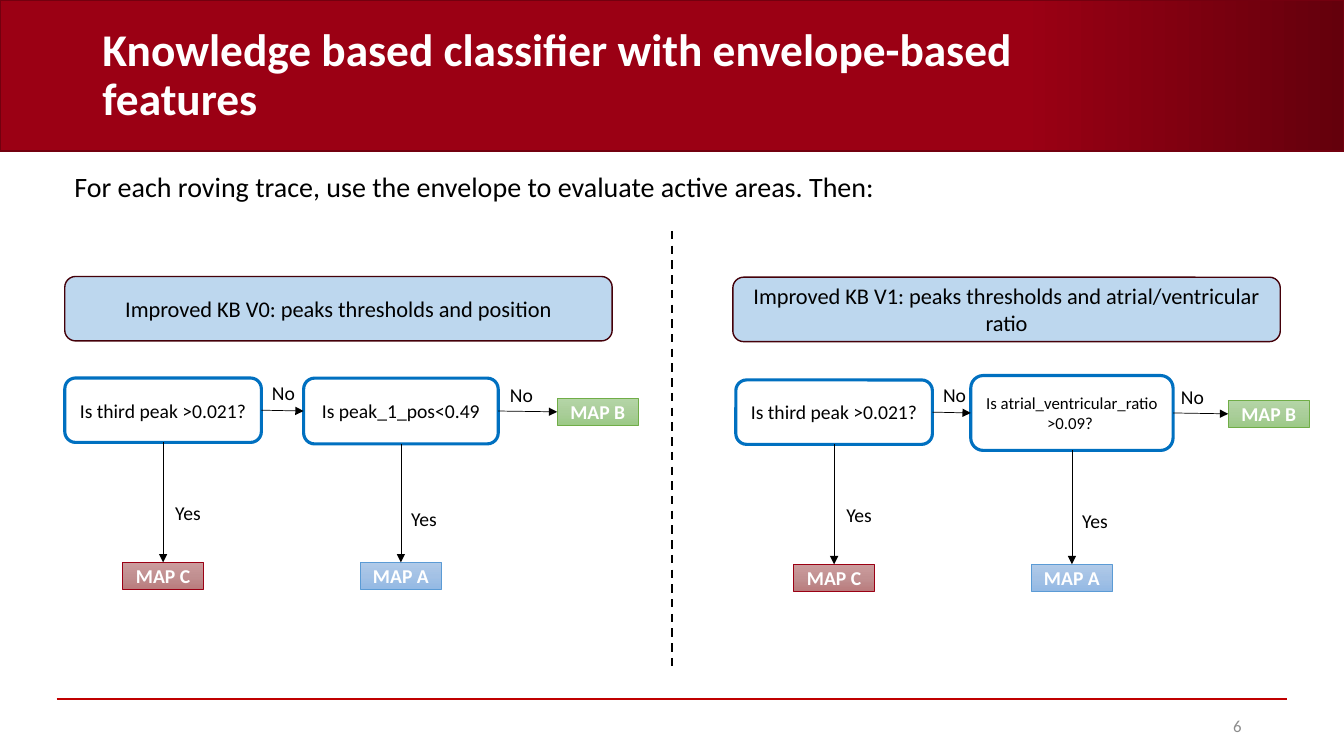
import pptx
import pptx.dml.color
import pptx.enum.dml
import pptx.enum.shapes
import pptx.enum.text
import pptx.oxml
import pptx.oxml.ns
import pptx.util
from lxml import etree

Pt = pptx.util.Pt
SHAPES = pptx.enum.shapes.MSO_SHAPE
ALIGN = pptx.enum.text.PP_ALIGN
ANCHOR = pptx.enum.text.MSO_ANCHOR
TOP, LEFT, BOTTOM, RIGHT = range(4)

COLORS = {
    "black": "000000", "white": "FFFFFF", "page number": "8C8C8C",
    "banner": "9B0014", "banner end": "64000C", "banner edge": "73000F",
    "footer rule": "C00000", "question": "0070C0",
    "heading": "BDD7EE", "heading edge": "440009",
}
# Gradient from top to bottom, then the edge colour
MAPS = {
    "MAP A": (("B1CBE9", "A3C1E5", "93B9E4"), "5B9BD5"),
    "MAP B": (("B5D5A7", "AACE9A", "9CC987"), "70AD47"),
    "MAP C": (("CC9D9E", "C19091", "B97C7D"), "9B0014"),
}
MAP_WIDTH, MAP_HEIGHT = 58, 19.4
FLOW_SHIFT = (479.3, 1.4)


def rgb(color):
    return pptx.dml.color.RGBColor.from_string(color)


def set_line(line, color, width):
    line.color.rgb = rgb(color)
    line.width = Pt(width)


def set_gradient(shape, stops, angle):
    """Fill with (percent, colour) stops; the angle is clockwise in degrees."""
    ns = pptx.oxml.ns.nsdecls("a")
    marks = "".join(
        f'<a:gs pos="{percent * 1000}"><a:srgbClr val="{color}"/></a:gs>'
        for percent, color in stops)
    gradient = pptx.oxml.parse_xml(
        f'<a:gradFill {ns} rotWithShape="1"><a:gsLst>{marks}</a:gsLst>'
        f'<a:lin ang="{angle * 60000}" scaled="0"/></a:gradFill>')
    outline = shape._element.spPr.find(pptx.oxml.ns.qn("a:prstGeom"))
    outline.addnext(gradient)


def write(frame, text, size, color="black", bold=False, align=ALIGN.LEFT,
          anchor=ANCHOR.TOP, spacing=None):
    frame.word_wrap = True
    frame.vertical_anchor = anchor
    paragraph = frame.paragraphs[0]
    paragraph.alignment = align
    paragraph.line_spacing = spacing
    run = paragraph.add_run()
    run.text = text
    run.font.name = "Calibri"
    run.font.size = Pt(size)
    run.font.bold = bold
    run.font.color.rgb = rgb(COLORS[color])


def add_text(slide, text, box, size, **style):
    label = slide.shapes.add_textbox(*map(Pt, box))
    write(label.text_frame, text, size, **style)


def add_box(slide, preset, box, edge, edge_width):
    shape = slide.shapes.add_shape(preset, *map(Pt, box))
    shape.shadow.inherit = False
    set_line(shape.line, edge, edge_width)
    return shape


def add_line(slide, start, end, color, width):
    line = slide.shapes.add_connector(
        pptx.enum.shapes.MSO_CONNECTOR.STRAIGHT, *map(Pt, start + end))
    set_line(line.line, COLORS[color], width)
    etree.SubElement(line._element.spPr, pptx.oxml.ns.qn("a:effectLst"))
    return line


def add_arrow(slide, source, source_side, target, target_side):
    arrow = add_line(slide, (0, 0), (0, 0), "black", 0.5)
    arrow.begin_connect(source, source_side)
    arrow.end_connect(target, target_side)
    etree.SubElement(arrow.line._get_or_add_ln(),
                     pptx.oxml.ns.qn("a:tailEnd"), type="triangle")


def add_banner(slide, title):
    banner = add_box(slide, SHAPES.RECTANGLE, (0, 0, 960, 108),
                     COLORS["banner edge"], 1)
    set_gradient(banner, [(76, COLORS["banner"]), (100, COLORS["banner end"])], 0)
    heading = slide.shapes.title
    banner._element.getparent().append(heading._element)
    heading.left, heading.top, heading.width, heading.height = map(
        Pt, (66, 16.5, 779, 76.5))
    write(heading.text_frame, title, 32.4, "white", True,
          anchor=ANCHOR.MIDDLE, spacing=0.9)


def add_heading(slide, text, left, top):
    heading = add_box(slide, SHAPES.ROUNDED_RECTANGLE, (left, top, 391, 46),
                      COLORS["heading edge"], 1)
    heading.fill.solid()
    heading.fill.fore_color.rgb = rgb(COLORS["heading"])
    write(heading.text_frame, text, 16, align=ALIGN.CENTER, anchor=ANCHOR.MIDDLE)


def add_question(slide, text, center, width, height, size):
    x, y = center
    question = add_box(slide, SHAPES.ROUNDED_RECTANGLE,
                       (x - width / 2, y - height / 2, width, height),
                       COLORS["question"], 2.25)
    question.fill.background()
    write(question.text_frame, text, size, align=ALIGN.CENTER,
          anchor=ANCHOR.MIDDLE)
    return question


def add_map(slide, name, center):
    colors, edge = MAPS[name]
    x, y = center
    result = add_box(slide, SHAPES.RECTANGLE,
                     (x - MAP_WIDTH / 2, y - MAP_HEIGHT / 2, MAP_WIDTH, MAP_HEIGHT),
                     edge, 0.5)
    set_gradient(result, list(zip((0, 50, 100), colors)), 90)
    write(result.text_frame, name, 14, "white", True, ALIGN.CENTER, ANCHOR.MIDDLE)
    return result


def add_flow(slide, shift, second_text, second_size, second_font):
    """Draw two chained questions with their maps, moved by shift."""
    def at(x, y):
        return x + shift[0], y + shift[1]

    first = add_question(slide, "Is third peak >0.021? ", at(116.5, 293),
                         140.4, 46, 14)
    second = add_question(slide, second_text, at(286.4, 293.6),
                          *second_size, second_font)
    map_c = add_map(slide, "MAP C", at(116.5, 411.4))
    map_a = add_map(slide, "MAP A", at(286.4, 411.4))
    map_b = add_map(slide, "MAP B", at(427, 294.2))

    add_arrow(slide, first, RIGHT, second, LEFT)
    add_arrow(slide, second, RIGHT, map_b, LEFT)
    add_arrow(slide, first, BOTTOM, map_c, TOP)
    add_arrow(slide, second, BOTTOM, map_a, TOP)

    for answer, x, y in (("No", 187.2, 268.6), ("No", 357.1, 270),
                         ("Yes", 118.1, 354.4), ("Yes", 286.6, 358.6)):
        add_text(slide, answer, at(x, y) + (39.6, 24.2), 14)


def main():
    deck = pptx.Presentation()
    deck.slide_width, deck.slide_height = Pt(960), Pt(540)
    slide = deck.slides.add_slide(deck.slide_layouts.get_by_name("Title Only"))

    add_banner(slide, "Knowledge based classifier with envelope-based features")
    add_line(slide, (40.5, 499.5), (919.5, 499.5), "footer rule", 1.5)
    add_text(slide, "6", (678, 504, 216, 28.8), 12, color="page number",
             align=ALIGN.RIGHT, anchor=ANCHOR.MIDDLE)
    add_text(slide,
             "For each roving trace, use the envelope to evaluate active areas. Then:",
             (46, 120, 828, 30), 20, spacing=0.9)

    divider = add_line(slide, (480, 165), (480, 479), "black", 1.5)
    divider.line.dash_style = pptx.enum.dml.MSO_LINE.DASH

    add_heading(slide, "Improved KB V0: peaks thresholds and position", 46.3, 197.5)
    add_heading(slide, "Improved KB V1: peaks thresholds and atrial/ventricular ratio",
                523.5, 198)
    add_flow(slide, (0, 0), "Is peak_1_pos<0.49", (139, 47), 14)
    add_flow(slide, FLOW_SHIFT, "Is atrial_ventricular_ratio >0.09? ",
             (144.5, 53.5), 12)
    deck.save("out.pptx")


if __name__ == "__main__":
    main()
